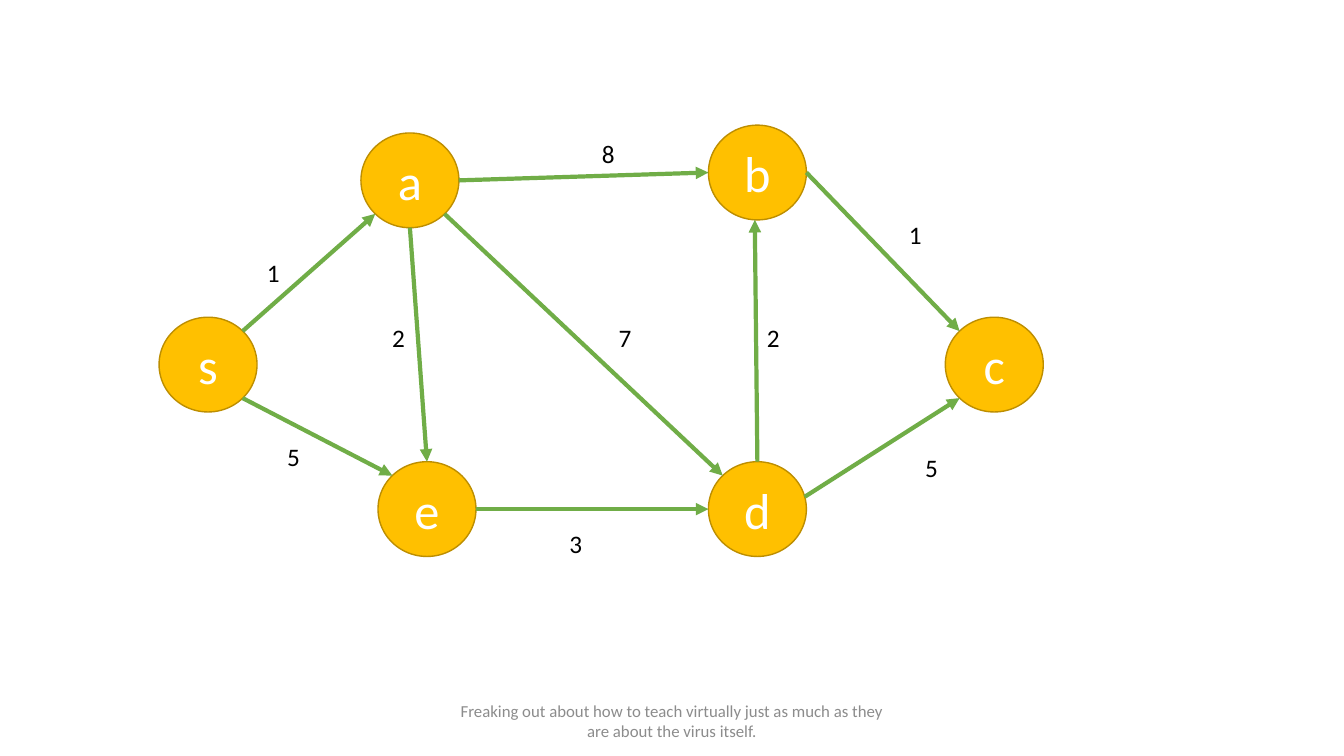
from math import cos, radians, sin

from lxml.etree import SubElement
from pptx import Presentation
from pptx.dml.color import RGBColor
from pptx.enum.shapes import MSO_CONNECTOR, MSO_SHAPE
from pptx.enum.text import MSO_ANCHOR, PP_ALIGN
from pptx.oxml.ns import qn
from pptx.util import Pt

NODE_WIDTH, NODE_HEIGHT = 70, 67.7
RIGHT, LOWER_RIGHT, BOTTOM, LOWER_LEFT = 0, 45, 90, 135
LEFT, UPPER_LEFT, TOP, UPPER_RIGHT = 180, 225, 270, 315


def color(hex_string):
    return RGBColor.from_string(hex_string)


class GraphSlide:
    """Holds the graph style and draws its parts on one slide."""

    font = "Calibri"
    node_fill, node_line, node_text = "FFC000", "BD8E00", "FFFFFF"
    edge_color, weight_color, footer_color = "70AD47", "000000", "8C8C8C"

    def __init__(self, slide):
        self.shapes = slide.shapes
        self.corners = {}

    def set_text(self, holder, text, size, hex_string, align):
        paragraph = holder.text_frame.paragraphs[0]
        paragraph.text = text
        paragraph.alignment = align
        paragraph.font.name = self.font
        paragraph.font.size = Pt(size)
        paragraph.font.color.rgb = color(hex_string)

    def node(self, name, left, top):
        self.corners[name] = left, top
        circle = self.shapes.add_shape(
            MSO_SHAPE.OVAL, Pt(left), Pt(top), Pt(NODE_WIDTH), Pt(NODE_HEIGHT))
        circle.shadow.inherit = False
        circle.fill.solid()
        circle.fill.fore_color.rgb = color(self.node_fill)
        circle.line.color.rgb = color(self.node_line)
        circle.line.width = Pt(1)
        circle.text_frame.vertical_anchor = MSO_ANCHOR.MIDDLE
        self.set_text(circle, name, 36, self.node_text, PP_ALIGN.CENTER)

    def rim(self, name, angle):
        left, top = self.corners[name]
        return (Pt(left + NODE_WIDTH / 2 * (1 + cos(radians(angle)))),
                Pt(top + NODE_HEIGHT / 2 * (1 + sin(radians(angle)))))

    def edge(self, source, leave_angle, target, enter_angle):
        arrow = self.shapes.add_connector(
            MSO_CONNECTOR.STRAIGHT,
            *self.rim(source, leave_angle), *self.rim(target, enter_angle))
        arrow.line.color.rgb = color(self.edge_color)
        arrow.line.width = Pt(3)
        properties = arrow.element.spPr
        SubElement(properties.find(qn("a:ln")), qn("a:tailEnd"), type="triangle")
        SubElement(properties, qn("a:effectLst"))

    def weight(self, value, left, top):
        label = self.shapes.add_textbox(Pt(left), Pt(top), Pt(23.8), Pt(29))
        label.text_frame.word_wrap = False
        self.set_text(label, value, 18, self.weight_color, PP_ALIGN.LEFT)

    def footer(self, text, left, top, width, height):
        note = self.shapes.add_textbox(Pt(left), Pt(top), Pt(width), Pt(height))
        note.text_frame.word_wrap = True
        note.text_frame.vertical_anchor = MSO_ANCHOR.MIDDLE
        self.set_text(note, text, 12, self.footer_color, PP_ALIGN.CENTER)


NODES = [
    ("s", 113.6, 226.6),
    ("e", 270, 329.8),
    ("a", 257.8, 95),
    ("d", 506, 329.8),
    ("b", 506, 89.4),
    ("c", 675.2, 226.6),
]
EDGES = [
    ("s", UPPER_RIGHT, "a", LOWER_LEFT),
    ("s", LOWER_RIGHT, "e", UPPER_LEFT),
    ("a", BOTTOM, "e", TOP),
    ("a", RIGHT, "b", LEFT),
    ("e", RIGHT, "d", LEFT),
    ("a", LOWER_RIGHT, "d", UPPER_LEFT),
    ("d", TOP, "b", BOTTOM + 3),
    ("d", RIGHT - 15, "c", LOWER_LEFT),
    ("b", RIGHT, "c", UPPER_LEFT),
]
WEIGHTS = [
    ("1", 183.6, 180),
    ("5", 198, 311.8),
    ("2", 273, 226.8),
    ("8", 422.8, 95),
    ("7", 434.8, 226.8),
    ("3", 399.6, 373.8),
    ("2", 540.8, 226.8),
    ("1", 642.2, 152.8),
    ("5", 653.8, 319.6),
]

presentation = Presentation()
presentation.slide_width, presentation.slide_height = Pt(960), Pt(540)
graph = GraphSlide(presentation.slides.add_slide(presentation.slide_layouts[6]))
graph.footer("Freaking out about how to teach virtually just as much as they "
             "are about the virus itself.", 318, 500.5, 324, 28.75)
for node in NODES:
    graph.node(*node)
for edge in EDGES:
    graph.edge(*edge)
for weight in WEIGHTS:
    graph.weight(*weight)
presentation.save("out.pptx")
